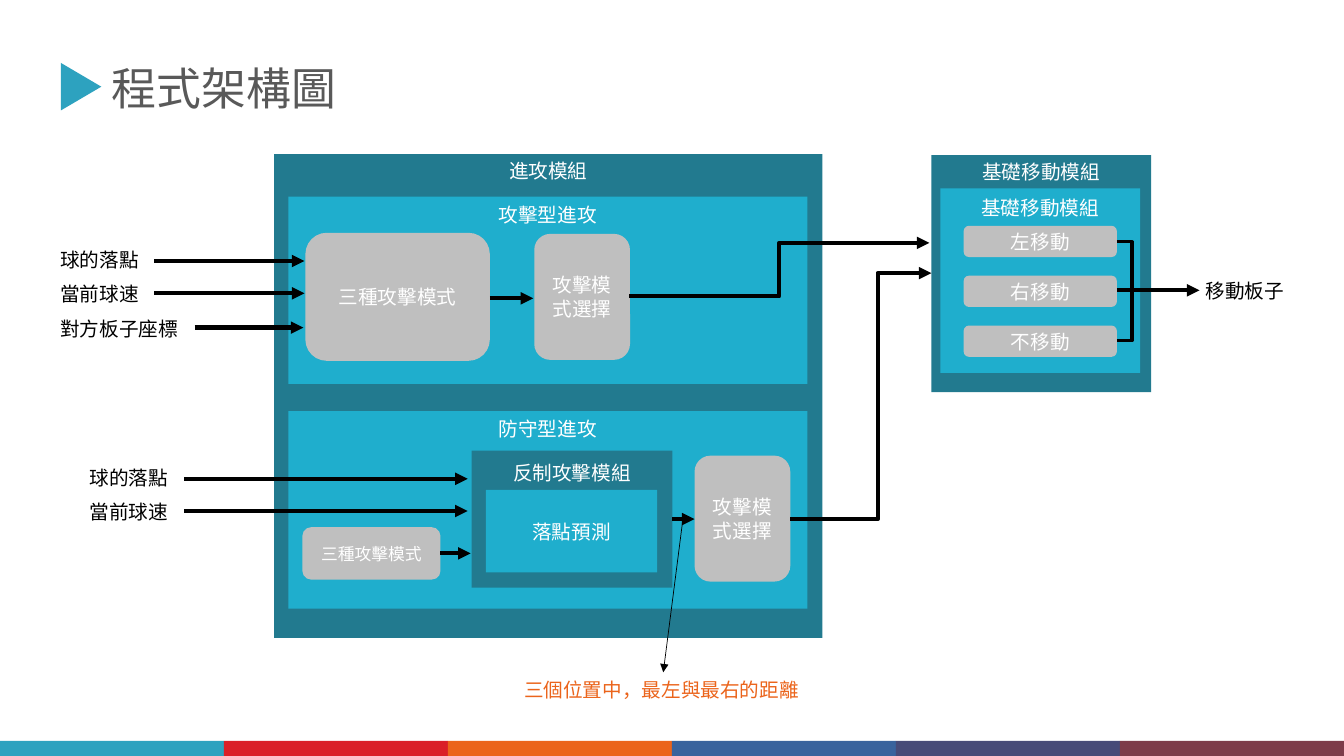
from lxml import etree
from pptx import Presentation
from pptx import util as u
from pptx.dml.color import RGBColor
from pptx.enum import shapes, text
from pptx.oxml.ns import qn

COLOURS = {
    "teal": "2DA2BF", "red": "DA1F28", "orange": "EB641B",
    "blue": "39639D", "indigo": "474B78", "wine": "7D3C4A",
    "module": "227A8F", "mode": "1FAECD", "step": "BFBFBF",
    "white": "FFFFFF", "black": "000000", "title": "595959",
}
FONT = "Noto Sans CJK SC"
PRESET = shapes.MSO_SHAPE
CELL = u.Inches(0.1)  # one column or row of the grid
COLUMNS, ROWS = 133.33, 75
CAPTION_ROWS = 3.4

deck = Presentation()
deck.slide_width, deck.slide_height = int(COLUMNS * CELL), ROWS * CELL
page = deck.slides.add_slide(deck.slide_layouts[5])


def add_block(preset, area, colour):
    block = page.shapes.add_shape(preset, *[int(cells * CELL) for cells in area])
    block.shadow.inherit = False
    block.fill.solid()
    block.fill.fore_color.rgb = RGBColor.from_string(COLOURS[colour])
    block.line.fill.background()
    return block


def write(box, words, colour, size=14, align=text.PP_ALIGN.LEFT,
          anchor=text.MSO_ANCHOR.TOP, wrap=True):
    frame = box.text_frame
    frame.word_wrap, frame.vertical_anchor = wrap, anchor
    frame.auto_size = text.MSO_AUTO_SIZE.NONE
    para = frame.paragraphs[0]
    para.alignment = align
    span = para.add_run()
    span.text = words
    span.font.size, span.font.name = u.Pt(size), FONT
    span.font.color.rgb = RGBColor.from_string(COLOURS[colour])
    etree.SubElement(span.font._element, qn("a:ea")).set("typeface", FONT)


# Title and its marker
title = page.shapes.title
title.left, title.top, title.width, title.height = [
    int(cells * CELL) for cells in (10.1, 5.5, 32.6, 6.4)]
write(title, "程式架構圖", "title", 32)
add_block(PRESET.ISOSCELES_TRIANGLE, (5.7, 6.6, 4.7, 4), "teal").rotation = 90

# Footer stripes
stripes = ["teal", "red", "orange", "blue", "indigo", "wine"]
stripe_width = COLUMNS / len(stripes)
for index, colour in enumerate(stripes):
    add_block(PRESET.RECTANGLE, (index * stripe_width, 73.5, stripe_width, 1.5), colour)

# Modules and the modes inside them: area, colour, caption, rows down to caption
panels = [
    ((92.4, 15.4, 21.8, 23.5), "module", "基礎移動模組", 0),
    ((93.3, 18.7, 19.8, 18.3), "mode", "基礎移動模組", 0.2),
    ((27.2, 15.3, 54.4, 48), "module", "進攻模組", 0),
    ((28.6, 19.5, 51.5, 18.6), "mode", "攻擊型進攻", 0.1),
    ((28.6, 40.8, 51.5, 19.6), "mode", "防守型進攻", 0.1),
    ((46.8, 44.7, 19.9, 13.6), "module", "反制攻擊模組", 0.5),
    ((48.2, 48.6, 17, 8.2), "mode", "落點預測", 2.5),
]
for area, colour, caption, drop in panels:
    add_block(PRESET.RECTANGLE, area, colour)
    left, top, width, height = area
    box = page.shapes.add_textbox(*[
        int(cells * CELL) for cells in (left, top + drop, width, CAPTION_ROWS)])
    write(box, caption, "white", align=text.PP_ALIGN.CENTER)

# Steps
steps = [
    ((30.3, 23.1, 18.3, 12.7), "三種攻擊模式", 14),
    ((53, 23.2, 9.5, 12.5), "攻擊模式選擇", 14),
    ((30, 52.3, 13.7, 5.2), "三種攻擊模式", 12),
    ((68.9, 45.2, 9.5, 12.5), "攻擊模式選擇", 14),
]
for index, move in enumerate(["左移動", "右移動", "不移動"]):
    steps.append(((95.6, 22.4 + index * 4.95, 15.2, 3.1), move, 14))
for area, words, size in steps:
    write(add_block(PRESET.ROUNDED_RECTANGLE, area, "step"), words, "white", size,
          text.PP_ALIGN.CENTER, text.MSO_ANCHOR.MIDDLE)

# Inputs, output and remark
labels = [
    (5, 24.1, 9.9, "球的落點", "black"),
    (5, 27.5, 9.9, "當前球速", "black"),
    (5, 30.9, 13.8, "對方板子座標", "black"),
    (7.9, 45.7, 9.9, "球的落點", "black"),
    (7.9, 49.1, 9.9, "當前球速", "black"),
    (118.6, 27.2, 9.9, "移動板子", "black"),
    (51, 66.8, 29.5, "三個位置中，最左與最右的距離", "orange"),
]
for left, top, width, words, colour in labels:
    box = page.shapes.add_textbox(*[
        int(cells * CELL) for cells in (left, top, width, CAPTION_ROWS)])
    write(box, words, colour, wrap=False)

# Connectors: start, end, weight, preset, share of the width before the bend
straight, corner, bent = "line", "bentConnector2", "bentConnector3"
links = [
    ((15.3, 25.9), (30.2, 25.9), 3, straight, None),
    ((15.3, 29.1), (30.2, 29.1), 3, straight, None),
    ((19.3, 32.5), (30.1, 32.5), 3, straight, None),
    ((18.3, 47.5), (46.4, 47.5), 3, straight, None),
    ((18.3, 50.7), (46.4, 50.7), 3, straight, None),
    ((43.7, 54.9), (46.7, 54.9), 3, straight, None),
    ((48.6, 29.6), (52.9, 29.6), 3, straight, None),
    ((66.7, 51.5), (68.9, 51.5), 3, straight, None),
    ((110.8, 28.8), (119, 28.8), 3, straight, None),
    ((67.8, 51.1), (65.8, 66.7), 0.5, straight, None),
    ((62.4, 29.4), (92.2, 24.1), 3, bent, 0.5),
    ((78.4, 51.5), (92.4, 27.1), 3, bent, 0.62),
    ((110.8, 24), (112.3, 28.8), 2.25, corner, None),
    ((110.8, 33.8), (112.3, 28.8), 2.25, corner, None),
]
for start, end, weight, preset, bend in links:
    link = page.shapes.add_connector(
        shapes.MSO_CONNECTOR.STRAIGHT, *[int(cells * CELL) for cells in start + end])
    link.line.width = u.Pt(weight)
    link.line.color.rgb = RGBColor.from_string(COLOURS["black"])
    properties = link._element.spPr
    geometry = properties.find(qn("a:prstGeom"))
    geometry.set("prst", preset)
    if bend:
        guide = etree.SubElement(geometry.find(qn("a:avLst")), qn("a:gd"))
        guide.set("name", "adj1")
        guide.set("fmla", f"val {int(bend * 100000)}")
    if preset != corner:
        etree.SubElement(properties.find(qn("a:ln")), qn("a:tailEnd")).set("type", "triangle")
    etree.SubElement(properties, qn("a:effectLst"))

deck.save("out.pptx")
